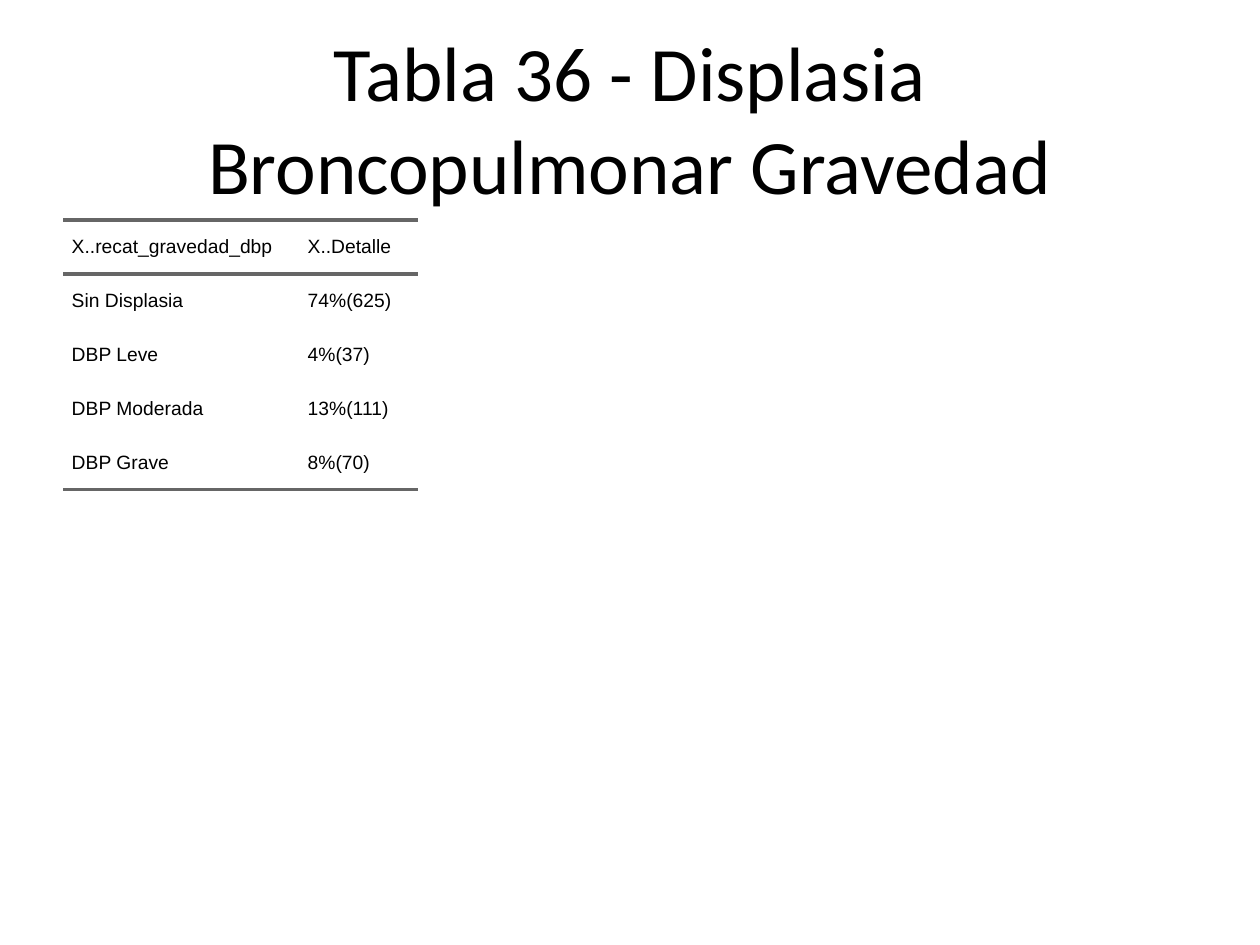
from lxml import etree
from pptx import Presentation
from pptx.dml.color import RGBColor
from pptx.enum.text import MSO_ANCHOR, PP_ALIGN
from pptx.oxml.ns import qn
from pptx.util import Emu, Pt

MIDDLE = MSO_ANCHOR.MIDDLE
CENTER = PP_ALIGN.CENTER
EMU_PER_PX = 914400 / 126
NO_STYLE = "{2D5ABB26-0587-4C30-8999-92F81FD0307C}"
BLACK, RULE_GRAY = "000000", "666666"

SEVERITY_ROWS = [
    ("X..recat_gravedad_dbp", "X..Detalle"),
    ("Sin Displasia", "74%(625)"),
    ("DBP Leve", "4%(37)"),
    ("DBP Moderada", "13%(111)"),
    ("DBP Grave", "8%(70)"),
]
COLUMN_WIDTHS = (236, 119)
ROW_HEIGHT = 54


def px(length):
    return Emu(round(length * EMU_PER_PX))


def color(hex_string):
    return RGBColor.from_string(hex_string)


def format_font(paragraph, name, size):
    for run in paragraph.runs:
        run.font.name = name
        run.font.size = Pt(size)
        run.font.color.rgb = color(BLACK)


def add_title(slide, text, left, top, width, height):
    title = slide.shapes.add_textbox(px(left), px(top), px(width), px(height))
    frame = title.text_frame
    frame.word_wrap = True
    frame.vertical_anchor = MIDDLE
    frame.text = text
    frame.paragraphs[0].alignment = CENTER
    format_font(frame.paragraphs[0], "Calibri", 44)


def add_border(cell, side):
    line = etree.SubElement(cell._tc.get_or_add_tcPr(), qn(f"a:ln{side}"), w=str(Pt(2)))
    fill = etree.SubElement(line, qn("a:solidFill"))
    etree.SubElement(fill, qn("a:srgbClr"), val=RULE_GRAY)


def fill_cell(cell, text, border_sides):
    cell.margin_left = cell.margin_right = cell.margin_top = cell.margin_bottom = 0
    cell.vertical_anchor = MIDDLE
    cell.text = text
    paragraph = cell.text_frame.paragraphs[0]
    properties = paragraph._p.get_or_add_pPr()
    for margin in ("marL", "marR"):
        properties.set(margin, str(Pt(5)))
    properties.set("indent", "0")
    paragraph.space_before = paragraph.space_after = Pt(5)
    format_font(paragraph, "Arial", 11)
    for side in border_sides:
        add_border(cell, side)
    cell.fill.background()


def add_severity_table(slide, left, top, width, height):
    frame = slide.shapes.add_table(
        len(SEVERITY_ROWS), len(COLUMN_WIDTHS), px(left), px(top), px(width), px(height))
    table = frame.table
    table.first_row = table.horz_banding = False
    table._tbl.tblPr.find(qn("a:tableStyleId")).text = NO_STYLE
    for column, column_width in zip(table.columns, COLUMN_WIDTHS):
        column.width = px(column_width)
    for row in table.rows:
        row.height = px(ROW_HEIGHT)

    # Rules above and below the header, and below the last row
    last = len(SEVERITY_ROWS) - 1
    border_sides = {0: "TB", last: "B"}
    for row_index, texts in enumerate(SEVERITY_ROWS):
        for column_index, text in enumerate(texts):
            fill_cell(table.cell(row_index, column_index), text,
                      border_sides.get(row_index, ""))

    # The frame keeps the full content area
    frame.width, frame.height = px(width), px(height)


def main():
    presentation = Presentation()
    presentation.slide_width = px(1260)
    presentation.slide_height = px(945)
    slide = presentation.slides.add_slide(presentation.slide_layouts[6])

    add_title(slide, "Tabla 36 - Displasia Broncopulmonar Gravedad", 63, 38, 1134, 158)
    add_severity_table(slide, 63, 220, 1134, 624)

    presentation.save("out.pptx")


if __name__ == "__main__":
    main()
